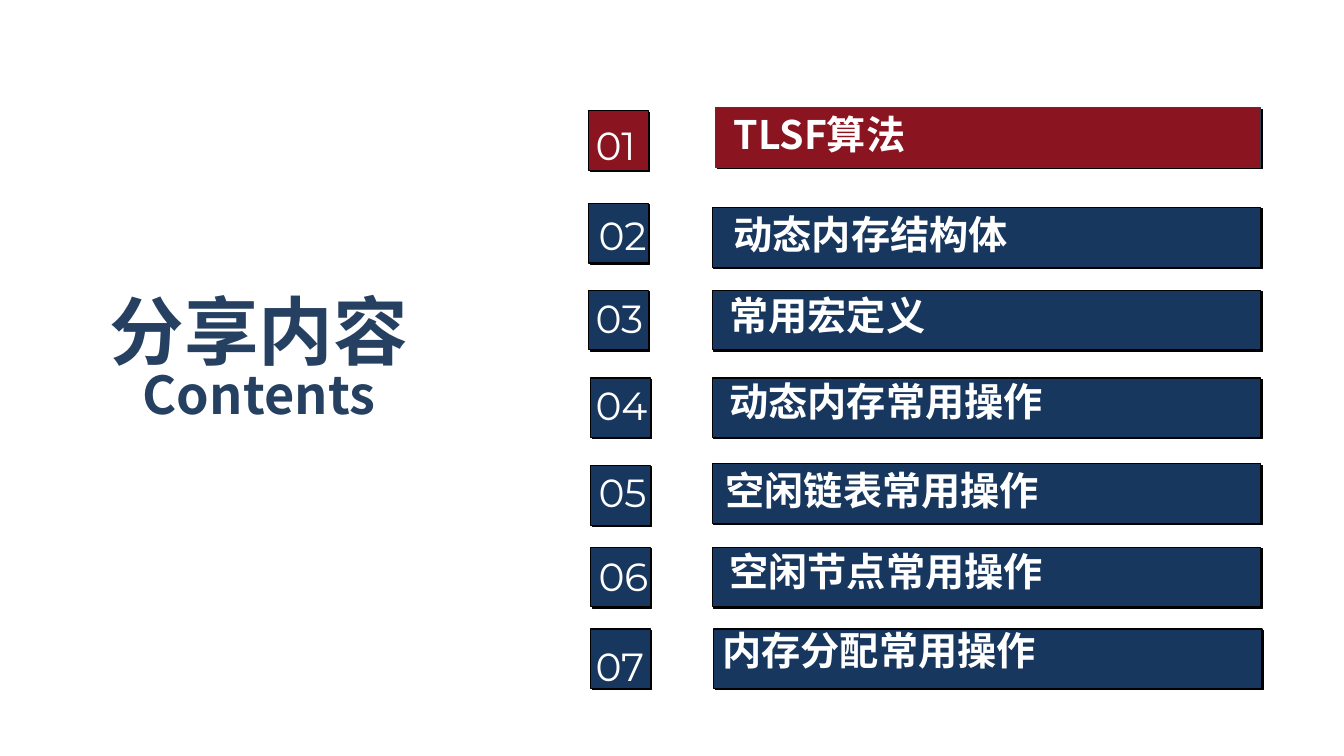
import pptx
import pptx.dml.color
import pptx.enum.shapes
import pptx.enum.text
import pptx.oxml
import pptx.util
from pptx.oxml.ns import nsdecls, qn

Pt = pptx.util.Pt


def color(hex_code):
    return pptx.dml.color.RGBColor.from_string(hex_code)


class ContentsSlide:
    NAVY, RED, TITLE, WHITE, BLACK = "17375E", "8A1420", "254061", "FFFFFF", "000000"
    NUMBER_FONT, TEXT_FONT = "Montserrat", "Noto Sans CJK SC"
    SIDE = 42.5

    def __init__(self, presentation):
        self.slide = presentation.slides.add_slide(presentation.slide_layouts[5])

    def format_run(self, run, size, font, hex_code, bold):
        run.font.size = Pt(size)
        run.font.name = font
        run.font.bold = bold
        run.font.color.rgb = color(hex_code)
        east_asian = pptx.oxml.parse_xml(f'<a:ea {nsdecls("a")} typeface="{font}"/>')
        run.font._element.find(qn("a:latin")).addnext(east_asian)

    def title(self, left, top, width, height, lines):
        heading = self.slide.shapes.title
        heading.left, heading.top = Pt(left), Pt(top)
        heading.width, heading.height = Pt(width), Pt(height)
        frame = heading.text_frame
        frame.text = "\n".join(words for words, size, spacing in lines)
        frame.word_wrap = False
        frame.auto_size = pptx.enum.text.MSO_AUTO_SIZE.NONE
        frame.vertical_anchor = pptx.enum.text.MSO_ANCHOR.TOP
        for paragraph, (words, size, spacing) in zip(frame.paragraphs, lines):
            paragraph.alignment = pptx.enum.text.PP_ALIGN.CENTER
            paragraph.line_spacing = spacing
            paragraph.space_before = Pt(0)
            self.format_run(paragraph.runs[0], size, self.TEXT_FONT, self.TITLE, True)

    def block(self, left, top, width, fill, outline):
        """Draw a filled rectangle with a hard shadow to the lower right."""
        rectangle = self.slide.shapes.add_shape(
            pptx.enum.shapes.MSO_SHAPE.RECTANGLE, Pt(left), Pt(top), Pt(width), Pt(self.SIDE))
        rectangle.fill.solid()
        rectangle.fill.fore_color.rgb = color(fill)
        rectangle.line.color.rgb = color(outline)
        rectangle.line.width = Pt(0.75)
        rectangle.shadow.inherit = False
        effects = rectangle._element.spPr.find(qn("a:effectLst"))
        effects.append(pptx.oxml.parse_xml(
            f'<a:outerShdw {nsdecls("a")} blurRad="0" dist="{Pt(1.4)}" dir="2700000" '
            f'algn="tl" rotWithShape="0"><a:srgbClr val="{self.BLACK}"/></a:outerShdw>'))

    def text(self, left, top, width, words, font, bold=False, spacing=1.0):
        box = self.slide.shapes.add_textbox(Pt(left), Pt(top), Pt(width), Pt(41))
        box.text_frame.word_wrap = True
        paragraph = box.text_frame.paragraphs[0]
        paragraph.text = words
        paragraph.line_spacing = spacing
        self.format_run(paragraph.runs[0], 28, font, self.WHITE, bold)

    def number(self, left, top, words):
        self.text(left, top, 59, words, self.NUMBER_FONT)

    def label(self, left, top, words):
        self.text(left, top, 409, words, self.TEXT_FONT, bold=True, spacing=0.9)


def main():
    presentation = pptx.Presentation()
    presentation.slide_width, presentation.slide_height = Pt(960), Pt(540)
    contents = ContentsSlide(presentation)
    contents.title(69.8, 207.4, 230.4, 117.4,
                   [("分享内容", 53.3, 0.9), ("Contents", 37.3, 0.77)])

    # Topic, then left and top of its badge, number, bar and label
    topics = [
        ("TLSF算法", (420.5, 79.2), (418.3, 82.8), (511.2, 77), (517, 79.2)),
        ("动态内存结构体", (420.5, 145.4), (420.5, 147.6), (509, 148.3), (517, 150.5)),
        ("常用宏定义", (420.5, 207.4), (418.3, 206.6), (509, 207.4), (514, 208)),
        ("动态内存常用操作", (422, 270), (418.3, 268.6), (509, 270), (514, 270)),
        ("空闲链表常用操作", (422, 332.6), (420.5, 331.2), (509, 331.2), (511.2, 333.4)),
        ("空闲节点常用操作", (422, 391), (420.5, 391), (509, 391), (514, 391)),
        ("内存分配常用操作", (422, 449.3), (418.3, 455), (509.8, 449.3), (509, 447.8)),
    ]
    for index, (topic, badge, number, bar, label) in enumerate(topics, start=1):
        current = index == 1
        fill = contents.RED if current else contents.NAVY
        contents.block(*badge, contents.SIDE, fill, contents.BLACK)
        contents.block(*bar, 389.5 if current else 391.7, fill,
                       "323F4F" if current else contents.BLACK)
        contents.number(*number, f"{index:02}")
        contents.label(*label, topic)

    presentation.save("out.pptx")


if __name__ == "__main__":
    main()
